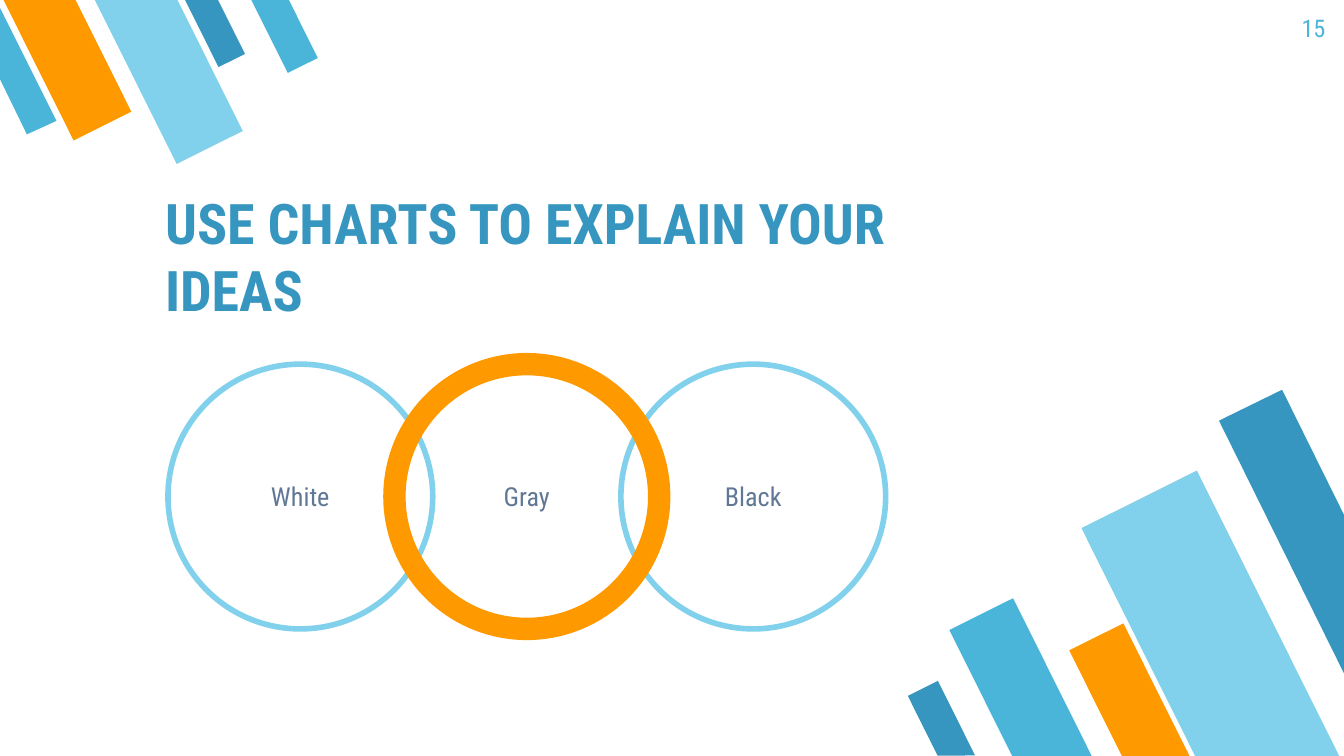
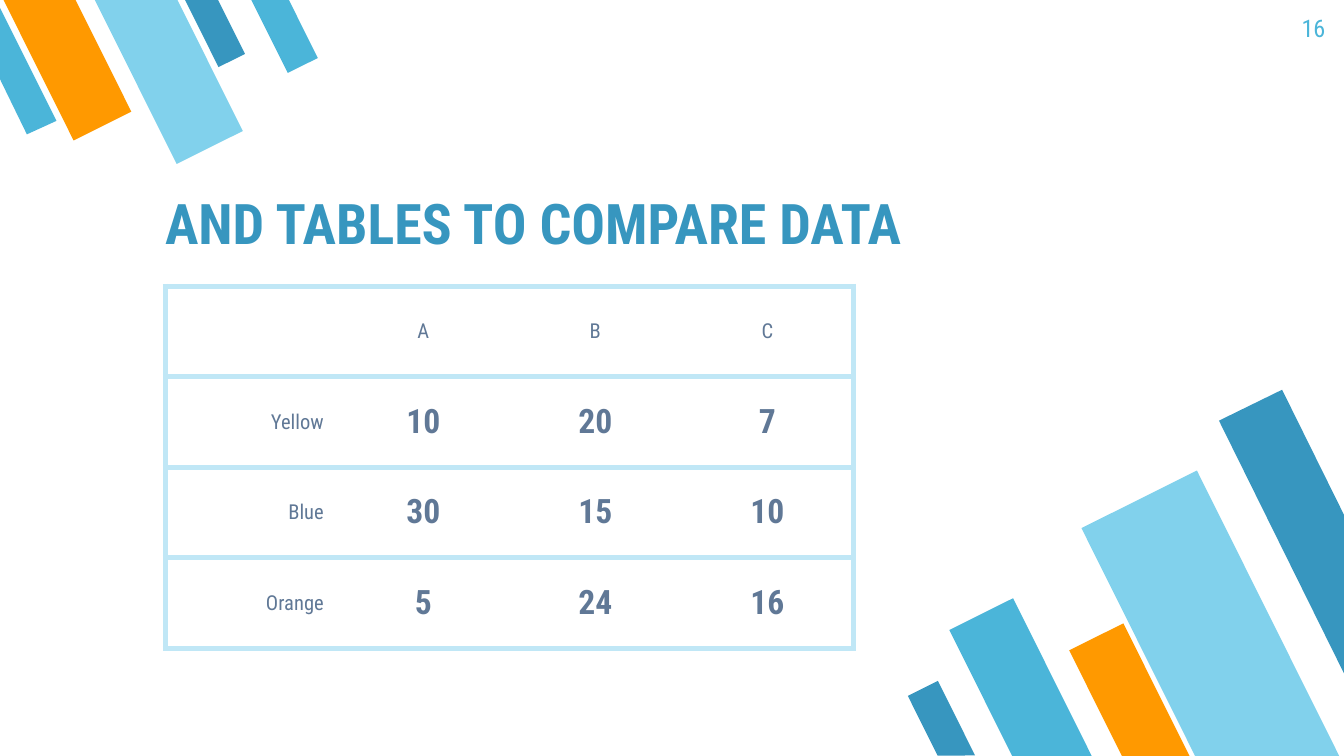
from lxml.etree import SubElement
from pptx import Presentation
from pptx.dml.color import RGBColor
from pptx.enum.shapes import MSO_SHAPE
from pptx.enum.text import MSO_ANCHOR, PP_ALIGN
from pptx.oxml.ns import qn
from pptx.util import Inches, Pt

DEEP_BLUE = RGBColor(0x37, 0x96, 0xBF)
MID_BLUE = RGBColor(0x4B, 0xB5, 0xD9)
LIGHT_BLUE = RGBColor(0x81, 0xD1, 0xEC)
PALE_BLUE = RGBColor(0xC0, 0xE7, 0xF6)
ORANGE = RGBColor(0xFF, 0x99, 0x00)
SLATE = RGBColor(0x60, 0x78, 0x96)
FONT = "Roboto Condensed"

SLIDE_WIDTH = Inches(10)
SLIDE_HEIGHT = SLIDE_WIDTH * 9 // 16
UNIT = SLIDE_WIDTH // 100

LOWER_TILT, UPPER_TILT = 153.5, 333.5
BARS = [
    (73.3, 45, 5.3, 13.2, LOWER_TILT, MID_BLUE),
    (85.3, 35.9, 9.6, 23.9, LOWER_TILT, LIGHT_BLUE),
    (81.8, 46.8, 4.5, 11.1, LOWER_TILT, ORANGE),
    (68.8, 50.9, 2.5, 6.2, LOWER_TILT, DEEP_BLUE),
    (14.9, -0.8, 2.2, 5.6, UPPER_TILT, DEEP_BLUE),
    (2.6, -1.8, 4.8, 11.8, UPPER_TILT, ORANGE),
    (9.8, -2, 5.5, 13.7, UPPER_TILT, LIGHT_BLUE),
    (19.9, -1, 2.5, 6.2, UPPER_TILT, MID_BLUE),
]
CUT_BARS = [
    ([(95.4, 29), (90.7, 31.3), (100, 50.1), (100, 38.3)], DEEP_BLUE),
    ([(2, 10), (4.2, 9), (0, 0.6), (0, 5.9)], MID_BLUE),
]
PAGES = [
    ("USE CHARTS TO EXPLAIN YOUR IDEAS", 17.6, "15"),
    ("AND TABLES TO COMPARE DATA", 12.6, "16"),
]
CIRCLES = [
    ("White", 0, LIGHT_BLUE, 3),
    ("Black", 2, LIGHT_BLUE, 3),
    ("Gray", 1, ORANGE, 12),
]
CIRCLE_LEFT, CIRCLE_TOP, CIRCLE_SIZE, CIRCLE_STEP = 12.5, 27.1, 19.7, 16.85
COMPARISON = [
    ["", "A", "B", "C"],
    ["Yellow", "10", "20", "7"],
    ["Blue", "30", "15", "10"],
    ["Orange", "5", "24", "16"],
]
COLUMN_WIDTH, ROW_HEIGHT = 12.8, 6.74


def grid(*units):
    return [round(unit * UNIT) for unit in units]


def write_text(frame, text, size, color, bold=False, align=PP_ALIGN.LEFT,
               anchor=MSO_ANCHOR.TOP, inset=1):
    frame.word_wrap = True
    frame.vertical_anchor = anchor
    frame.margin_left, frame.margin_right = grid(1, 1)
    frame.margin_top, frame.margin_bottom = grid(inset, inset)
    paragraph = frame.paragraphs[0]
    paragraph.alignment = align
    run = paragraph.add_run()
    run.text = text
    run.font.name = FONT
    run.font.size = Pt(size)
    run.font.bold = bold
    run.font.color.rgb = color


deck = Presentation()
deck.slide_width, deck.slide_height = SLIDE_WIDTH, SLIDE_HEIGHT

for title, title_top, number in PAGES:
    slide = deck.slides.add_slide(deck.slide_layouts[6])
    for left, top, width, height, tilt, color in BARS:
        bar = slide.shapes.add_shape(MSO_SHAPE.FLOWCHART_MANUAL_INPUT,
                                     *grid(left, top, width, height))
        bar.rotation = tilt
        bar._element.spPr.find(qn("a:xfrm")).set("flipH", "1")
        bar.shadow.inherit = False
        bar.fill.solid()
        bar.fill.fore_color.rgb = color
        bar.line.fill.background()
    for corners, color in CUT_BARS:
        outline = slide.shapes.build_freeform(*grid(*corners[0]))
        outline.add_line_segments([grid(*corner) for corner in corners[1:]])
        cut_bar = outline.convert_to_shape()
        cut_bar.shadow.inherit = False
        cut_bar.fill.solid()
        cut_bar.fill.fore_color.rgb = color
        cut_bar.line.fill.background()
    heading = slide.shapes.add_textbox(*grid(11.3, title_top, 63, 7.4))
    write_text(heading.text_frame, title, size=30, color=DEEP_BLUE, bold=True,
               anchor=MSO_ANCHOR.BOTTOM)
    page_number = slide.shapes.add_textbox(*grid(93.6, 0, 6, 4.3))
    write_text(page_number.text_frame, number, size=13, color=MID_BLUE,
               align=PP_ALIGN.RIGHT)

charts_slide, table_slide = deck.slides

for label, position, color, weight in CIRCLES:
    circle = charts_slide.shapes.add_shape(
        MSO_SHAPE.OVAL, *grid(CIRCLE_LEFT + position * CIRCLE_STEP, CIRCLE_TOP,
                              CIRCLE_SIZE, CIRCLE_SIZE))
    circle.shadow.inherit = False
    circle.fill.background()
    circle.line.color.rgb = color
    circle.line.width = Pt(weight)
    write_text(circle.text_frame, label, size=14, color=SLATE,
               align=PP_ALIGN.CENTER, anchor=MSO_ANCHOR.MIDDLE)

row_count, column_count = len(COMPARISON), len(COMPARISON[0])
comparison = table_slide.shapes.add_table(
    row_count, column_count,
    *grid(12.3, 21.3, COLUMN_WIDTH * column_count, ROW_HEIGHT * row_count)).table
comparison.first_row = comparison.horz_banding = False

for row, values in enumerate(COMPARISON):
    for column, value in enumerate(values):
        cell = comparison.cell(row, column)
        is_figure = row > 0 and column > 0
        if value:
            write_text(cell.text_frame, value, size=18 if is_figure else 11,
                       color=SLATE, bold=is_figure, inset=0.7,
                       align=PP_ALIGN.CENTER if column else PP_ALIGN.RIGHT)
        cell.vertical_anchor = MSO_ANCHOR.MIDDLE
        cell.margin_left, cell.margin_right = grid(1, 1)
        cell.margin_top, cell.margin_bottom = grid(0.7, 0.7)
        properties = cell._tc.get_or_add_tcPr()
        edges = {"a:lnL": column == 0, "a:lnR": column == column_count - 1,
                 "a:lnT": True, "a:lnB": True}
        for edge, drawn in edges.items():
            border = SubElement(properties, qn(edge), w=str(Pt(3) if drawn else 0))
            if drawn:
                paint = SubElement(border, qn("a:solidFill"))
                SubElement(paint, qn("a:srgbClr"), val=str(PALE_BLUE))
            else:
                SubElement(border, qn("a:noFill"))
        cell.fill.background()

deck.save("out.pptx")
